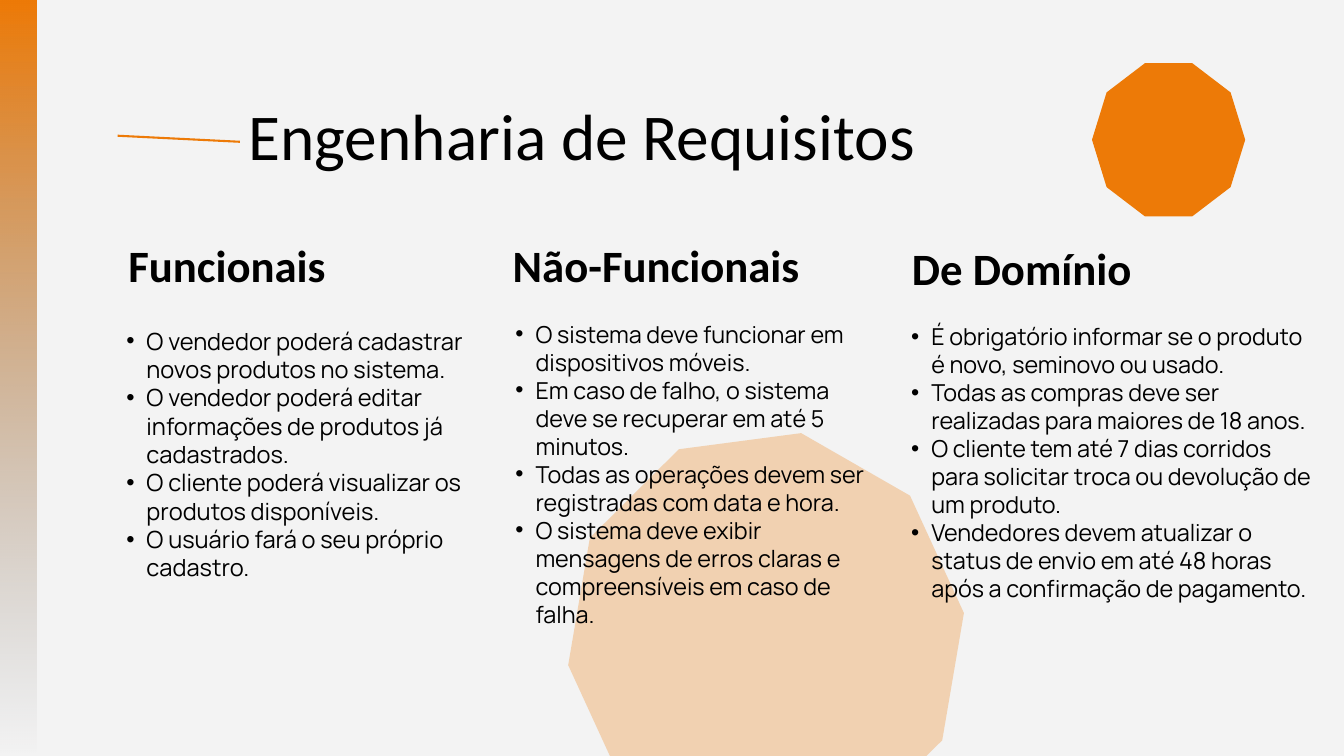
from lxml.etree import SubElement
from pptx import Presentation
from pptx.dml.color import RGBColor
from pptx.enum.shapes import MSO_CONNECTOR as CONN, MSO_SHAPE as SHAPE
from pptx.enum.text import MSO_ANCHOR as ANCHOR, MSO_AUTO_SIZE as AUTO, PP_ALIGN as ALIGN
from pptx.oxml.ns import qn
from pptx.util import Inches, Pt


class Theme:
    background = RGBColor(0xF3, 0xF3, 0xF3)
    accent = RGBColor(0xED, 0x7A, 0x07)
    fade = RGBColor(0x73, 0x73, 0x73)
    ink = RGBColor(0, 0, 0)
    title = {"name": "Calibri", "size": Pt(70), "bold": False}
    heading = {"name": "Calibri", "size": Pt(48), "bold": True}
    body = {"name": "Manrope", "size": Pt(25), "bold": False}
    leading = 1.2


class Deck:
    def __init__(self, prs, theme):
        self.theme = theme
        self.s = prs.slides.add_slide(prs.slide_layouts.get_by_name("Comparison"))
        fill = self.s.background.fill
        fill.solid()
        fill.fore_color.rgb = theme.background
        self.holders = {ph.placeholder_format.idx: ph for ph in self.s.placeholders}

    def set_alpha(self, sp, percent):
        color = list(sp._element.spPr.iter(qn("a:srgbClr")))[-1]
        SubElement(color, qn("a:alpha")).set("val", str(percent * 1000))

    def shape(self, kind, box, rotation=0):
        sp = self.s.shapes.add_shape(kind, *map(Inches, box))
        sp.rotation = rotation
        sp.shadow.inherit = False
        sp.line.fill.background()
        return sp

    def decagon(self, box, rotation=0, alpha=100):
        sp = self.shape(SHAPE.DECAGON, box, rotation)
        sp.fill.solid()
        sp.fill.fore_color.rgb = self.theme.accent
        if alpha < 100:
            self.set_alpha(sp, alpha)

    def fading_bar(self, box):
        sp = self.shape(SHAPE.RECTANGLE, box)
        sp.fill.gradient()
        sp.fill.gradient_angle = 270
        for stop, color, position in zip(
            sp.fill.gradient_stops, (self.theme.accent, self.theme.fade), (0, 1)
        ):
            stop.color.rgb = color
            stop.position = position
        self.set_alpha(sp, 0)

    def line(self, start, end):
        sp = self.s.shapes.add_connector(CONN.STRAIGHT, *map(Inches, start + end))
        sp.line.color.rgb = self.theme.accent
        sp.line.width = Pt(2.25)
        SubElement(sp._element.spPr, qn("a:effectLst"))

    def text(self, idx, box, paragraphs, style, hanging=None):
        left, top, width, height = map(Inches, box)
        sp = self.holders.get(idx)
        if sp is None:
            sp = self.s.shapes.add_textbox(left, top, width, height)
        else:
            self.s.shapes._spTree.append(sp._element)
        frame = {"left": left, "top": top, "width": width, "height": height}
        for name, value in frame.items():
            setattr(sp, name, value)
        tf = sp.text_frame
        layout = {
            "word_wrap": True, "auto_size": AUTO.SHAPE_TO_FIT_TEXT,
            "vertical_anchor": ANCHOR.TOP, "margin_left": 0,
            "margin_top": 0, "margin_right": 0, "margin_bottom": 0,
        }
        for name, value in layout.items():
            setattr(tf, name, value)
        spacing = {
            "alignment": ALIGN.LEFT, "space_before": Pt(0), "space_after": Pt(0),
            "line_spacing": Pt(style["size"].pt * self.theme.leading),
        }
        for i, words in enumerate(paragraphs):
            p = tf.add_paragraph() if i else tf.paragraphs[0]
            for name, value in spacing.items():
                setattr(p, name, value)
            if hanging:
                pPr = p._p.get_or_add_pPr()
                pPr.set("marL", str(Inches(hanging)))
                pPr.set("indent", str(Inches(-0.3)))
                SubElement(pPr, qn("a:buFont")).set("typeface", "Arial")
                SubElement(pPr, qn("a:buChar")).set("char", "•")
            r = p.add_run()
            r.text = words
            for name, value in style.items():
                setattr(r.font, name, value)
            r.font.color.rgb = self.theme.ink

    def title(self, box, words):
        self.text(0, box, [words], self.theme.title)

    def heading(self, idx, left, top, words):
        self.text(idx, (left, top, 4.74, 0.8), [words], self.theme.heading)

    def bullets(self, idx, box, items, size=25, hanging=0.59):
        self.text(idx, box, items, {**self.theme.body, "size": Pt(size)}, hanging)


def main():
    prs = Presentation()
    prs.slide_width, prs.slide_height = Inches(20), Inches(11.25)
    deck = Deck(prs, Theme)

    deck.line((1.75, 2.02), (3.57, 2.11))
    deck.fading_bar((0, 0, 0.55, 11.25))
    deck.decagon((8.43, 6.54, 5.94, 5.94), rotation=352.5, alpha=28)
    deck.decagon((16.25, 0.94, 2.28, 2.28))
    deck.title((3.7, 1.42, 14.45, 1.18), "Engenharia de Requisitos")

    deck.heading(1, 1.91, 3.54, "Funcionais")
    deck.bullets(2, (1.58, 4.86, 5.53, 4.61), [
        "O vendedor poderá cadastrar novos produtos no sistema.",
        "O vendedor poderá editar informações de produtos já cadastrados.",
        "O cliente poderá visualizar os produtos disponíveis.",
        "O usuário fará o seu próprio cadastro.",
    ], size=25.3, hanging=0.6)

    deck.heading(3, 7.63, 3.54, "Não-Funcionais")
    deck.bullets(4, (7.38, 4.76, 5.52, 5.45), [
        "O sistema deve funcionar em dispositivos móveis.",
        "Em caso de falho, o sistema deve se recuperar em até 5 minutos.",
        "Todas as operações devem ser registradas com data e hora.",
        "O sistema deve exibir mensagens de erros claras e compreensíveis em caso de falha.",
    ])

    deck.heading(None, 13.57, 3.58, "De Domínio")
    deck.bullets(None, (13.27, 4.8, 6.36, 5.86), [
        "É obrigatório informar se o produto é novo, seminovo ou usado.",
        "Todas as compras deve ser realizadas para maiores de 18 anos.",
        "O cliente tem até 7 dias corridos para solicitar troca ou devolução de um produto.",
        "Vendedores devem atualizar o status de envio em até 48 horas após a confirmação de pagamento.",
    ])

    for ph in list(deck.s.placeholders):
        if not ph.text_frame.text:
            ph._element.getparent().remove(ph._element)
    prs.save("out.pptx")


if __name__ == "__main__":
    main()
